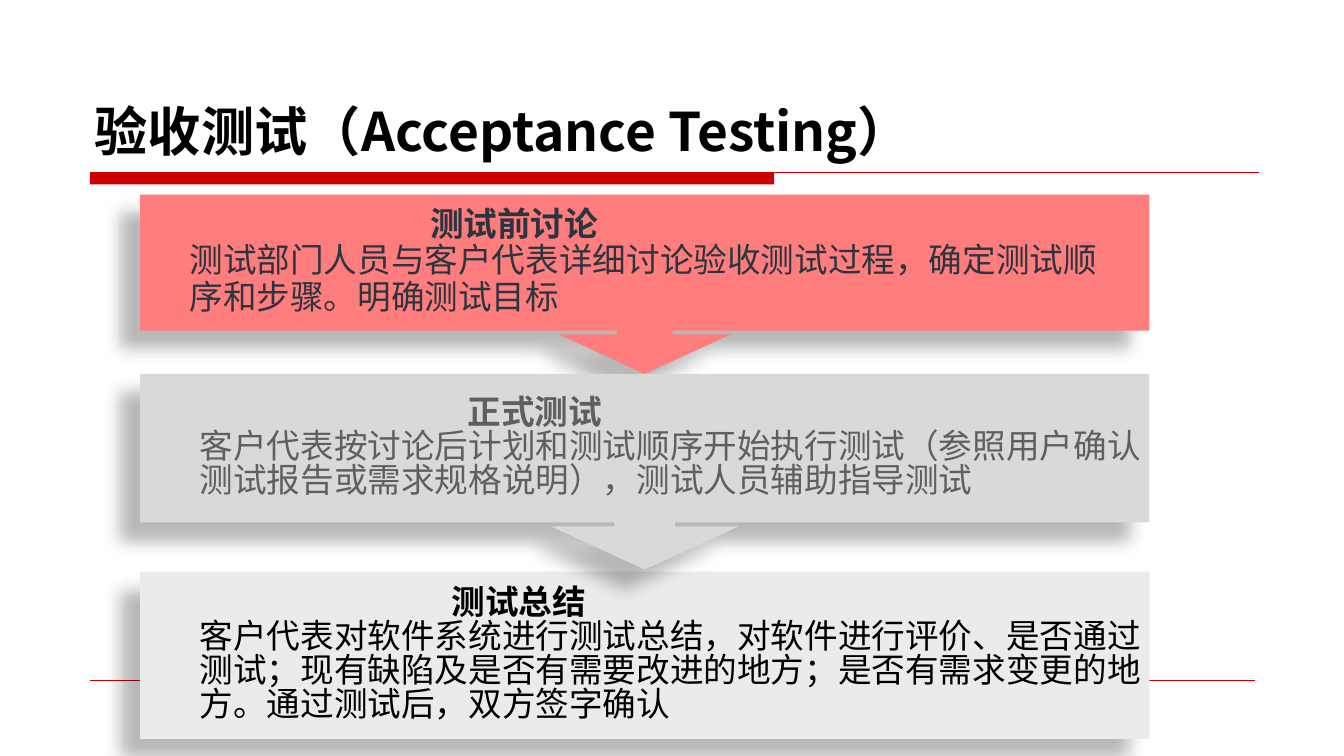
from dataclasses import dataclass

from lxml.etree import SubElement
from pptx import Presentation
from pptx.dml.color import RGBColor
from pptx.enum.shapes import MSO_CONNECTOR as Conn, MSO_SHAPE as Shape
from pptx.enum.text import MSO_ANCHOR as Anchor, MSO_AUTO_SIZE as AutoSize, PP_ALIGN as Align
from pptx.oxml.ns import qn
from pptx.util import Inches, Pt

FONT = "Noto Sans CJK SC"
BLACK = RGBColor(0x00, 0x00, 0x00)
RED = RGBColor(0xCC, 0x00, 0x00)
CORAL = RGBColor(0xFF, 0x7D, 0x7D)
GRAY = RGBColor(0xD9, 0xD9, 0xD9)
PALE = RGBColor(0xEB, 0xEB, 0xEB)
NAVY = RGBColor(0x2C, 0x35, 0x3F)
DIM = RGBColor(0x5F, 0x5F, 0x5F)

WIDTH, HEIGHT = Inches(13.33), Inches(7.5)
RULE_LEFT, RULE_TOP = 6.68, 22.8
STEP_LEFT, STEP_WIDTH = 10.43, 75.09
ARROW = (0.311, 0.479, 0.22, 0.759)


def x(percent: float) -> int:
    return round(WIDTH * percent / 100)


def y(percent: float) -> int:
    return round(HEIGHT * percent / 100)


@dataclass(frozen=True)
class Step:
    top: float
    height: float
    shape: Shape
    fill: RGBColor
    ink: RGBColor
    heading: str
    heading_indent: float
    body: tuple[str, ...]
    body_indent: float
    gap: float = 0


@dataclass(frozen=True)
class Rule:
    top: float
    right: float
    weight: float


STEPS = (
    Step(25.73, 23.73, Shape.DOWN_ARROW_CALLOUT, CORAL, NAVY, "测试前讨论", 21.2,
         ("测试部门人员与客户代表详细讨论验收测试过程，确定测试顺", "序和步骤。明确测试目标"),
         3.3, gap=1.5),
    Step(75.6, 22.13, Shape.RECTANGLE, PALE, BLACK, "测试总结", 22.8,
         ("客户代表对软件系统进行测试总结，对软件进行评价、是否通过测试；"
          "现有缺陷及是否有需要改进的地方；是否有需求变更的地方。"
          "通过测试后，双方签字确认",), 4.05),
    Step(49.47, 25.87, Shape.DOWN_ARROW_CALLOUT, GRAY, DIM, "正式测试", 24,
         ("客户代表按讨论后计划和测试顺序开始执行测试（参照用户确认"
          "测试报告或需求规格说明），测试人员辅助指导测试",), 4.05),
)
RULES = (Rule(RULE_TOP, 93.7, 0.75), Rule(90, 93.4, 0.25))


def write(p, text: str, *, size: float, color: RGBColor, bold: bool = False,
          indent: float = 0, before: float = 0, spacing: float = 1) -> None:
    pPr = p._p.get_or_add_pPr()
    pPr.set("marL", str(x(indent)))
    pPr.set("indent", "0")
    p.alignment = Align.LEFT
    p.line_spacing = spacing
    p.space_before = Pt(before)
    r = p.add_run()
    r.text = text
    r.font.name = FONT
    r.font.size = Pt(size)
    r.font.bold = bold
    r.font.color.rgb = color
    SubElement(r._r.get_or_add_rPr(), qn("a:ea"), typeface=FONT)


def add_block(slide, shape: Shape, left: float, top: float,
              width: float, height: float, fill: RGBColor):
    s = slide.shapes.add_shape(shape, x(left), y(top), x(width), y(height))
    s.fill.solid()
    s.fill.fore_color.rgb = fill
    s.line.fill.background()
    s.shadow.inherit = False
    return s


def add_shadow(s) -> None:
    effects = s._element.spPr.find(qn("a:effectLst"))
    shadow = SubElement(effects, qn("a:outerShdw"), blurRad=str(Pt(11.8)),
                        dist=str(Pt(19.7)), dir=str(141 * 60000),
                        algn="ctr", rotWithShape="0")
    color = SubElement(shadow, qn("a:srgbClr"), val=str(BLACK))
    SubElement(color, qn("a:alpha"), val="28000")


def add_rule(slide, rule: Rule) -> None:
    s = slide.shapes.add_connector(Conn.STRAIGHT, x(RULE_LEFT), y(rule.top),
                                   x(rule.right), y(rule.top))
    s.line.color.rgb = RED
    s.line.width = Pt(rule.weight)
    SubElement(s._element.spPr, qn("a:effectLst"))


def add_step(slide, step: Step) -> None:
    s = add_block(slide, step.shape, STEP_LEFT, step.top,
                  STEP_WIDTH, step.height, step.fill)
    if step.shape == Shape.DOWN_ARROW_CALLOUT:
        for i, value in enumerate(ARROW):
            s.adjustments[i] = value
    add_shadow(s)
    tf = s.text_frame
    tf.word_wrap = True
    tf.vertical_anchor = Anchor.MIDDLE
    tf.margin_left = tf.margin_right = tf.margin_top = tf.margin_bottom = Inches(0.05)
    write(tf.paragraphs[0], step.heading, size=24, color=step.ink, bold=True,
          indent=step.heading_indent, spacing=0.85)
    for text in step.body:
        write(tf.add_paragraph(), text, size=24, color=step.ink,
              indent=step.body_indent, before=step.gap, spacing=0.85)


def add_title(slide, text: str) -> None:
    s = slide.shapes.title
    s.left, s.top, s.width, s.height = x(6.3), y(4.4), x(87.55), y(17.73)
    tf = s.text_frame
    tf.word_wrap = True
    tf.auto_size = AutoSize.NONE
    tf.vertical_anchor = Anchor.BOTTOM
    write(tf.paragraphs[0], text, size=38, color=BLACK, bold=True)


def main() -> None:
    prs = Presentation()
    prs.slide_width, prs.slide_height = WIDTH, HEIGHT
    slide = prs.slides.add_slide(prs.slide_layouts[5])
    add_title(slide, "验收测试（Acceptance Testing）")
    add_block(slide, Shape.RECTANGLE, RULE_LEFT, RULE_TOP, 50.93, 1.6, RED)
    for rule in RULES:
        add_rule(slide, rule)
    for step in STEPS:
        add_step(slide, step)
    prs.save("out.pptx")


if __name__ == "__main__":
    main()
